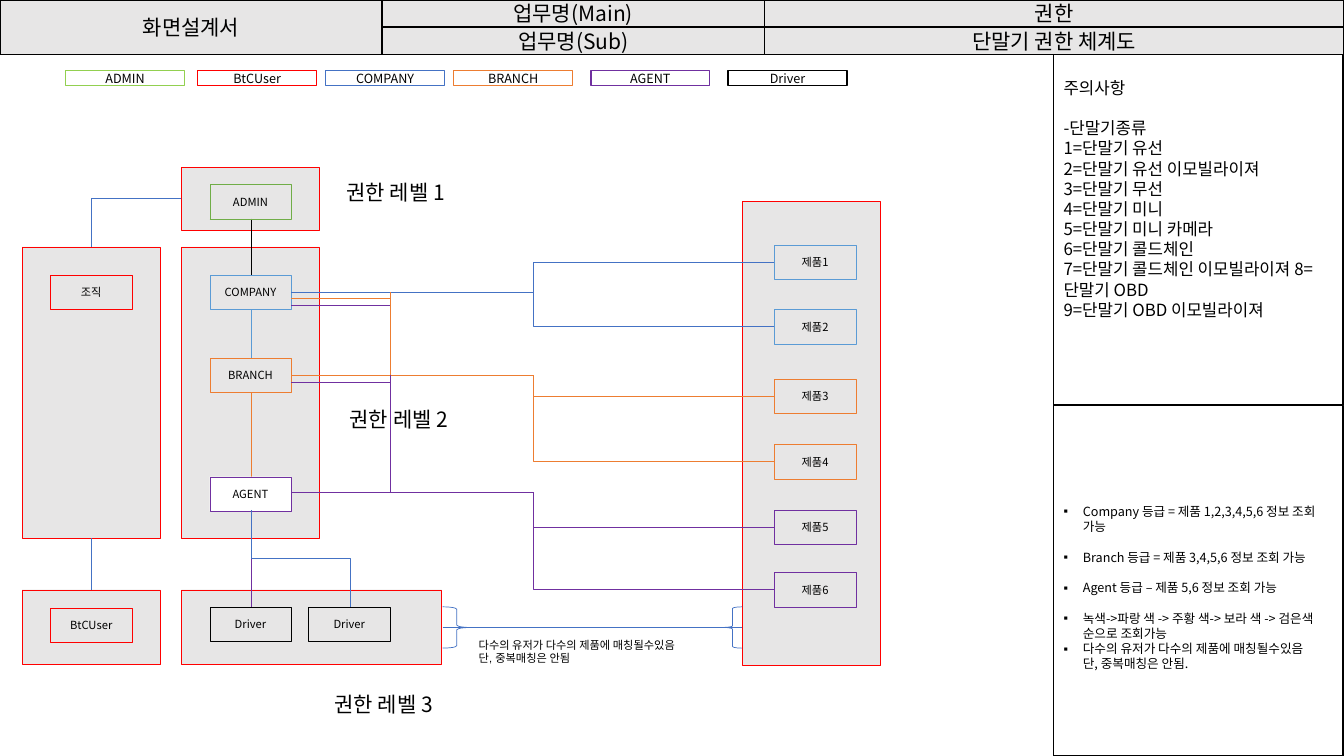
from collections import namedtuple
from lxml import etree
from pptx import Presentation
from pptx.dml.color import RGBColor
from pptx.enum.shapes import MSO_CONNECTOR as LINK, MSO_SHAPE as SHAPE
from pptx.enum.text import MSO_ANCHOR as ANCHOR, MSO_AUTO_SIZE as AUTO_SIZE, PP_ALIGN as ALIGN
from pptx.oxml.ns import qn
from pptx.util import Inches, Pt

BLACK = RGBColor(0x00, 0x00, 0x00)
WHITE = RGBColor(0xFF, 0xFF, 0xFF)
GRAY = RGBColor(0xE7, 0xE6, 0xE6)
RED = RGBColor(0xFF, 0x00, 0x00)
LIME = RGBColor(0x92, 0xD0, 0x50)
GREEN = RGBColor(0x70, 0xAD, 0x47)
SKY = RGBColor(0x5B, 0x9B, 0xD5)
BLUE = RGBColor(0x44, 0x72, 0xC4)
ORANGE = RGBColor(0xED, 0x7D, 0x31)
PURPLE = RGBColor(0x70, 0x30, 0xA0)

FONT = "Noto Sans CJK KR"
NODE_WIDTH, NODE_HEIGHT = 0.81, 0.34
HAIRLINE, THIN, SOLID = 0.1, 0.5, 1

Box = namedtuple("Box", "left top width height")


def place(shape, box):
    shape.left, shape.top, shape.width, shape.height = (Inches(value) for value in box)


def paint(shape, fill, line, width):
    if fill is None:
        shape.fill.background()
    else:
        shape.fill.solid()
        shape.fill.fore_color.rgb = fill
    shape.line.color.rgb = line
    shape.line.width = Pt(width)


def write(paragraph, text, size, align=ALIGN.LEFT, font=FONT):
    paragraph.alignment = align
    run = paragraph.add_run()
    run.text = text
    run.font.name = font
    run.font.size = Pt(size)
    run.font.color.rgb = BLACK
    etree.SubElement(run.font._element, qn("a:ea"), typeface=FONT)


def add_box(slide, box, fill, line, width, text="", size=8, preset=SHAPE.RECTANGLE):
    shape = slide.shapes.add_shape(preset, *(Inches(value) for value in box))
    shape.shadow.inherit = False
    paint(shape, fill, line, width)
    if text:
        shape.text_frame.vertical_anchor = ANCHOR.MIDDLE
        write(shape.text_frame.paragraphs[0], text, size, ALIGN.CENTER)
    return shape


def add_group(slide, box):
    add_box(slide, box, GRAY, RED, HAIRLINE)


def add_node(slide, left, top, text, color, fill=None):
    add_box(slide, Box(left, top, NODE_WIDTH, NODE_HEIGHT), fill, color, HAIRLINE, text)


def add_line(slide, start, end, color, kind=LINK.STRAIGHT):
    connector = slide.shapes.add_connector(kind, *(Inches(value) for value in (*start, *end)))
    connector.line.color.rgb = color
    connector.line.width = Pt(THIN)
    etree.SubElement(connector._element.spPr, qn("a:effectLst"))
    return connector


def add_label(slide, box, lines, size, font=FONT):
    frame = slide.shapes.add_textbox(*(Inches(value) for value in box)).text_frame
    frame.word_wrap = False
    for index, line in enumerate(lines):
        paragraph = frame.add_paragraph() if index else frame.paragraphs[0]
        write(paragraph, line, size, font=font)


def build_header(slide, box):
    column, half = 3.79, box.height / 2
    title = slide.shapes.title
    place(title, Box(box.left, box.top, column, box.height))
    paint(title, GRAY, BLACK, SOLID)
    title.text_frame.auto_size = AUTO_SIZE.NONE
    title.text_frame.vertical_anchor = ANCHOR.MIDDLE
    write(title.text_frame.paragraphs[0], "화면설계서", 15, ALIGN.CENTER)
    rows = [("업무명(Main)", "권한"), ("업무명(Sub)", "단말기 권한 체계도")]
    for index, (name, value) in enumerate(rows):
        top = box.top + index * half
        add_box(slide, Box(box.left + column, top, column, half), GRAY, BLACK, SOLID, name, 15)
        add_box(slide, Box(box.left + 2 * column, top, box.width - 2 * column, half),
                GRAY, BLACK, SOLID, value, 15)


def build_legend(slide, box):
    entries = [(0, "ADMIN", LIME), (1.31, "BtCUser", RED), (2.58, "COMPANY", BLUE),
               (3.85, "BRANCH", ORANGE), (5.21, "AGENT", PURPLE), (6.57, "Driver", BLACK)]
    for offset, text, color in entries:
        add_box(slide, Box(box.left + offset, box.top, 1.18, box.height),
                None, color, SOLID, text, 9)


def build_organisation(slide, box):
    """Column of the organisation and its users, linked up to the admin group."""
    left, top, width, height = box
    center, user_top = left + width / 2, top + 3.4
    add_group(slide, box)
    add_group(slide, Box(left, user_top, width, 0.74))
    add_node(slide, left + 0.28, top + 0.28, "조직", RED)
    add_node(slide, left + 0.28, user_top + 0.18, "BtCUser", RED)
    add_line(slide, (center, user_top), (center, top + height), BLUE)
    link = add_line(slide, (left + 1.58, top - 0.48), (center, top), BLUE, LINK.ELBOW)
    link._element.spPr.find(qn("a:prstGeom")).set("prst", "bentConnector2")


def build_levels(slide, box):
    """Chain from ADMIN down to the drivers, with the level captions."""
    left, top, width, height = box
    node_left, center = left + 0.28, left + 0.69
    driver_top = top + 4.36
    add_group(slide, Box(left, top, width, 0.62))
    add_group(slide, Box(left, top + 0.79, width, 2.89))
    add_group(slide, Box(left, top + 4.19, 2.58, height - 4.19))
    chain = [("ADMIN", 0.17, GREEN, BLACK, None), ("COMPANY", 1.07, SKY, SKY, None),
             ("BRANCH", 1.89, ORANGE, ORANGE, None), ("AGENT", 3.07, PURPLE, PURPLE, WHITE),
             ("Driver", 4.36, BLACK, None, None)]
    for (_, offset, _, color, _), following in zip(chain, chain[1:]):
        add_line(slide, (center, top + offset + NODE_HEIGHT), (center, top + following[1]), color)
    for text, offset, color, _, fill in chain:
        add_node(slide, node_left, top + offset, text, color, fill)
    add_node(slide, node_left + 0.98, driver_top, "Driver", BLACK)

    branch = add_line(slide, (center + 0.01, top + 3.39), (center + 0.97, top + 4.37),
                      BLUE, LINK.ELBOW)
    frame = branch._element.spPr.find(qn("a:xfrm"))
    frame.set("rot", str(270 * 60000))
    frame.set("flipH", "1")
    for level, (x, y) in enumerate([(1.54, 0.07), (1.57, 2.32), (1.42, 5.15)], 1):
        add_label(slide, Box(left + x, top + y, 1.31, 0.35), [f"권한 레벨 {level}"], 15)


def build_products(slide, box, tree_right):
    """Product column, with each pair linked back to its level in the tree."""
    left, top, width, height = box
    node_left = left + 0.32
    add_group(slide, box)
    pairs = [(0.9, SKY, BLUE, (0.43, 1.07)), (1.72, ORANGE, ORANGE, (1.76, 2.41)),
             (2.89, PURPLE, PURPLE, (3.06, 3.68))]
    number = 0
    for source, color, link_color, offsets in pairs:
        for offset in offsets:
            number += 1
            add_node(slide, node_left, top + offset, f"제품{number}", color)
            add_line(slide, (node_left, top + offset + NODE_HEIGHT / 2),
                     (tree_right, top + source), link_color, LINK.ELBOW)


def build_inheritance(slide, box):
    """Rail that hands the lower levels' products up to BRANCH and COMPANY."""
    left, top, width, height = box
    right, middle = left + width, top + 0.82
    add_line(slide, (right, middle), (right, top + height), PURPLE)
    add_line(slide, (right, top), (right, middle), ORANGE)
    for offset, color in [(0.89, PURPLE), (0.13, PURPLE), (0.06, ORANGE)]:
        add_line(slide, (left, top + offset), (right, top + offset), color)


def build_matching(slide, box):
    """Braces and note that tie the drivers to the products."""
    left, top, width, height = box
    right = left + width
    add_line(slide, (left, top + 0.2), (right, top + 0.2), BLUE)
    for x, brace_width, preset in [(right - 0.19, 0.19, SHAPE.LEFT_BRACE),
                                   (left, 0.28, SHAPE.RIGHT_BRACE)]:
        add_box(slide, Box(x, top, brace_width, height), None, BLUE, THIN, preset=preset)
    add_label(slide, Box(left + 0.26, top + 0.26, 2.37, 0.37),
              ["다수의 유저가 다수의 제품에 매칭될수있음", "단, 중복매칭은 안됨"], 8, "Arial")


def build_cautions(slide, box):
    frame = add_box(slide, box, WHITE, BLACK, SOLID).text_frame
    frame.vertical_anchor = ANCHOR.TOP
    frame.margin_top = Inches(0.23)
    lines = ["주의사항", "-단말기종류", "1=단말기 유선", "2=단말기 유선 이모빌라이져",
             "3=단말기 무선", "4=단말기 미니", "5=단말기 미니 카메라", "6=단말기 콜드체인",
             "7=단말기 콜드체인 이모빌라이져 8=단말기 OBD", "9=단말기 OBD 이모빌라이져"]
    for index, line in enumerate(lines):
        paragraph = frame.add_paragraph() if index else frame.paragraphs[0]
        paragraph.space_before = Pt(14.4 if index == 1 else 0)
        write(paragraph, line, 12)


def build_notes(slide, box):
    body = slide.placeholders[1]
    place(body, box)
    paint(body, WHITE, BLACK, SOLID)
    frame = body.text_frame
    frame.auto_size = AUTO_SIZE.NONE
    frame.vertical_anchor = ANCHOR.TOP
    frame.margin_top = Inches(0.98)
    notes = [("Company 등급 = 제품 1,2,3,4,5,6 정보 조회 가능", 0, True),
             ("Branch 등급 = 제품 3,4,5,6 정보 조회 가능", 11, True),
             ("Agent 등급 – 제품 5,6 정보 조회 가능", 11, True),
             ("녹색->파랑 색 -> 주황 색-> 보라 색 -> 검은색 순으로 조회가능", 11, True),
             ("다수의 유저가 다수의 제품에 매칭될수있음", 0, True),
             ("단, 중복매칭은 안됨.", 0, False)]
    for index, (text, gap, bulleted) in enumerate(notes):
        paragraph = frame.add_paragraph() if index else frame.paragraphs[0]
        paragraph.space_before = Pt(gap)
        properties = paragraph._p.get_or_add_pPr()
        properties.set("marL", str(Inches(0.19)))
        properties.set("indent", str(Inches(-0.19 if bulleted else 0)))
        if bulleted:
            etree.SubElement(properties, qn("a:buChar"), char="▪")
        else:
            etree.SubElement(properties, qn("a:buNone"))
        write(paragraph, text, 9)


def main():
    presentation = Presentation()
    presentation.slide_width, presentation.slide_height = Inches(13.33), Inches(7.5)
    slide = presentation.slides.add_slide(presentation.slide_layouts[1])
    build_header(slide, Box(0, 0, 13.33, 0.54))
    build_legend(slide, Box(0.65, 0.7, 7.75, 0.15))
    build_levels(slide, Box(1.8, 1.66, 1.37, 4.93))
    build_products(slide, Box(7.36, 2, 1.37, 4.6), tree_right=2.89)
    build_inheritance(slide, Box(2.89, 2.9, 0.98, 1.99))
    build_matching(slide, Box(4.39, 6.02, 2.97, 0.41))
    build_organisation(slide, Box(0.22, 2.45, 1.37, 2.89))
    build_cautions(slide, Box(10.45, 0.54, 2.87, 3.48))
    build_notes(slide, Box(10.45, 4.02, 2.87, 3.48))
    presentation.save("out.pptx")


if __name__ == "__main__":
    main()
